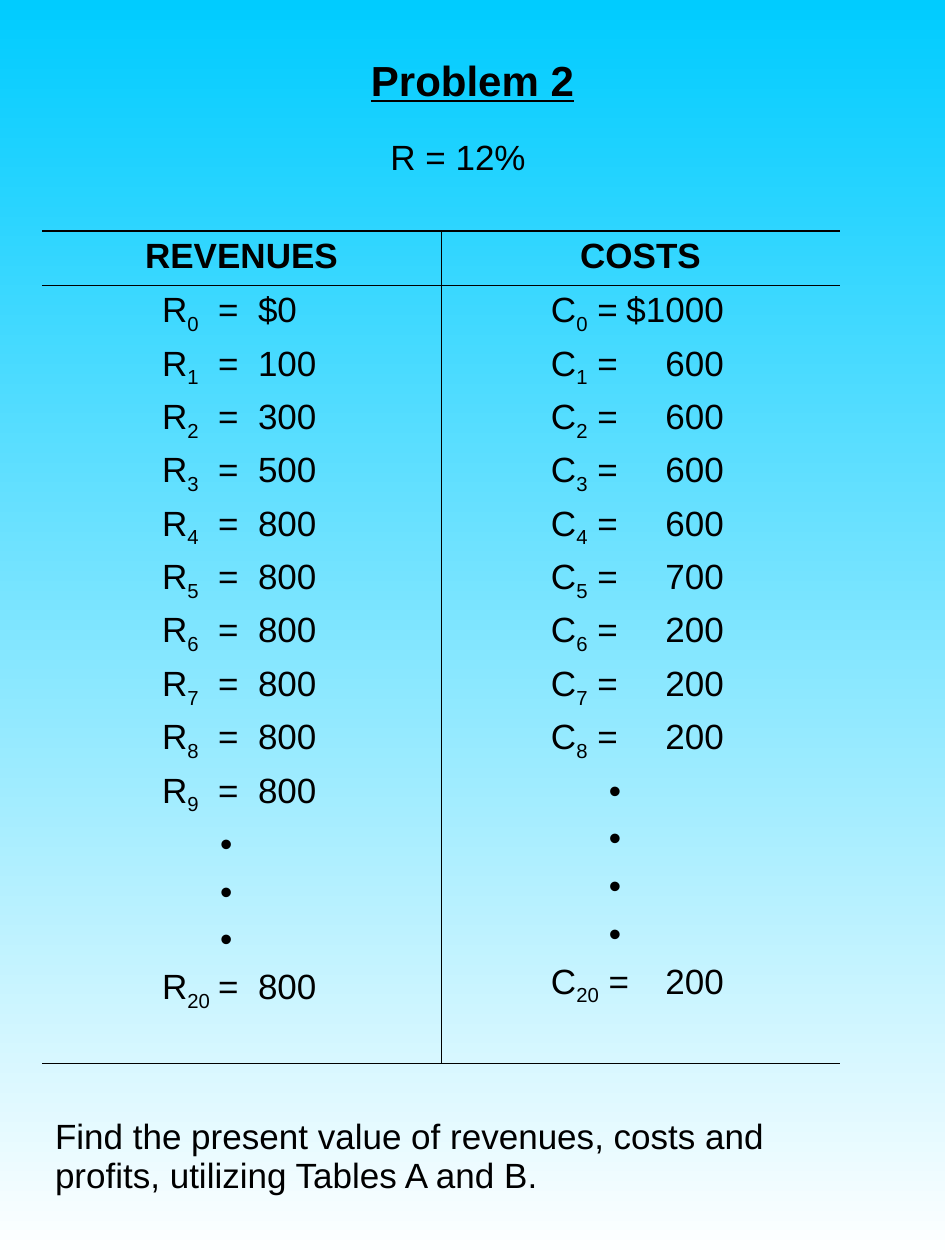
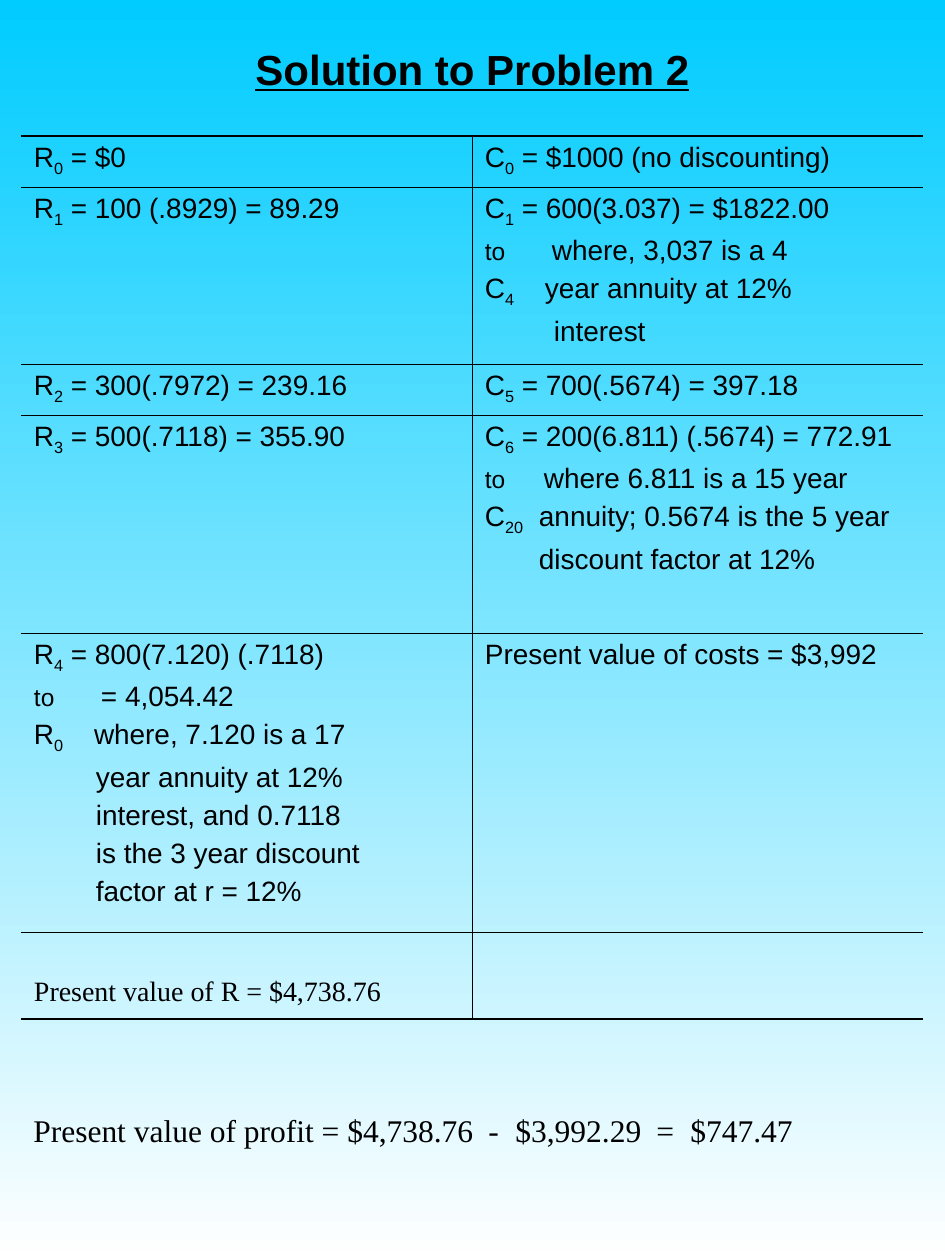
from dataclasses import dataclass

from lxml.etree import SubElement
from pptx import Presentation
from pptx.dml.color import RGBColor
from pptx.enum.text import MSO_ANCHOR, PP_ALIGN
from pptx.oxml.ns import qn
from pptx.util import Emu, Pt

PX_PER_INCH = 126
SLIDE_WIDTH, SLIDE_HEIGHT = 945, 1260
COLORS = {"sky": "00CCFF", "white": "FFFFFF", "ink": "000000"}
SANS, SERIF = "Arial", "Times New Roman"
THIN, HEAVY, NO_LINE = 0.45, 1.08, 0
INSET_X, INSET_Y = 13, 6
TITLE_FORMAT = {"size": Pt(24), "bold": True, "underline": True}


def px(length: int) -> Emu:
    return Emu(round(length * 914400 / PX_PER_INCH))


@dataclass
class Line:
    """A paragraph: optional symbol, its subscript, then the text."""
    text: str
    symbol: str = ""
    subscript: str = ""
    tabs: tuple = ()  # (position in px, "l" or "r")
    indent: int = 0
    font: str = SANS
    bold: bool = False
    centered: bool = False
    symbol_size: int = 0


@dataclass
class Cell:
    lines: list
    left: int = INSET_X
    top: int = INSET_Y


@dataclass
class Grid:
    left: int
    top: int
    column_width: int
    row_heights: list
    edges: list  # widths of the horizontal rules, top to bottom
    rows: list
    size: int
    gap: int


# Text
def add_run(paragraph, text: str, formats: dict, subscript: bool = False) -> None:
    run = paragraph.add_run()
    run.text = text
    for name, value in formats.items():
        setattr(run.font, name, value)
    run.font.color.rgb = RGBColor.from_string(COLORS["ink"])
    if subscript:
        run._r.get_or_add_rPr().set("baseline", "-25000")


def write_line(paragraph, line: Line, formats: dict) -> None:
    properties = paragraph._p.get_or_add_pPr()
    if line.indent:
        properties.set("marL", str(px(line.indent)))
        properties.set("indent", "0")
    if line.tabs:
        tab_list = SubElement(properties, qn("a:tabLst"))
        for position, alignment in line.tabs:
            SubElement(tab_list, qn("a:tab"), pos=str(px(position)), algn=alignment)
    if line.centered:
        paragraph.alignment = PP_ALIGN.CENTER
    formats = {"name": line.font, "bold": line.bold} | formats
    if line.symbol:
        size = Pt(line.symbol_size) if line.symbol_size else formats["size"]
        add_run(paragraph, line.symbol, formats | {"size": size})
    if line.subscript:
        add_run(paragraph, line.subscript, formats, subscript=True)
    add_run(paragraph, line.text, formats)


def add_text(slide, left: int, top: int, width: int, height: int, line: Line,
             formats: dict, anchor=MSO_ANCHOR.TOP) -> None:
    shape = slide.shapes.add_textbox(px(left), px(top), px(width), px(height))
    frame = shape.text_frame
    frame.word_wrap = True
    frame.vertical_anchor = anchor
    write_line(frame.paragraphs[0], line, formats)


# Table
def set_borders(cell, widths: dict) -> None:
    properties = cell._tc.get_or_add_tcPr()
    for side in ("lnL", "lnR", "lnT", "lnB"):
        width = widths.get(side, NO_LINE)
        border = SubElement(properties, qn(f"a:{side}"), w=str(Pt(width)))
        if width:
            fill = SubElement(border, qn("a:solidFill"))
            SubElement(fill, qn("a:srgbClr"), val=COLORS["ink"])
        else:
            SubElement(border, qn("a:noFill"))
    cell.fill.background()


def fill_cell(cell, content: Cell, size: int, gap: int) -> None:
    margins = {"margin_left": content.left, "margin_top": content.top,
               "margin_right": INSET_X, "margin_bottom": INSET_Y}
    for name, value in margins.items():
        setattr(cell, name, px(value))
    frame = cell.text_frame
    for index, line in enumerate(content.lines):
        paragraph = frame.add_paragraph() if index else frame.paragraphs[0]
        write_line(paragraph, line, {"size": Pt(size)})
        if index:
            paragraph.space_before = Pt(gap)


def add_grid(slide, grid: Grid) -> None:
    frame = slide.shapes.add_table(
        len(grid.rows), 2, px(grid.left), px(grid.top),
        px(2 * grid.column_width), px(sum(grid.row_heights)))
    table = frame.table
    table.first_row = table.horz_banding = False
    for column in table.columns:
        column.width = px(grid.column_width)
    for index, contents in enumerate(grid.rows):
        table.rows[index].height = px(grid.row_heights[index])
        merged = len(contents) == 1
        if merged:
            table.cell(index, 0).merge(table.cell(index, 1))
        for side, inner in enumerate(("lnR", "lnL")):
            cell = table.cell(index, side)
            set_borders(cell, {"lnT": grid.edges[index], "lnB": grid.edges[index + 1],
                               inner: NO_LINE if merged else THIN})
            if side < len(contents):
                fill_cell(cell, contents[side], grid.size, grid.gap)


# Shared slide frame
def add_slide(presentation, title: str, title_height: int):
    slide = presentation.slides.add_slide(presentation.slide_layouts[6])
    fill = slide.background.fill
    fill.gradient()
    fill.gradient_angle = 270
    for stop, name in zip(fill.gradient_stops, ("sky", "white")):
        stop.color.rgb = RGBColor.from_string(COLORS[name])
    add_text(slide, 71, 32, 803, title_height, Line(title, centered=True),
             TITLE_FORMAT, MSO_ANCHOR.MIDDLE)
    return slide


# Slide 1: the cash flows
def add_problem(presentation) -> None:
    slide = add_slide(presentation, "Problem 2", 95)
    dot = Line("•", indent=58)
    revenue_tabs = ((56, "l"), (96, "l"))
    cost_tabs = ((173, "r"),)

    def revenue(year: int, amount: str) -> Line:
        return Line(f"\t=\t{amount}", "R", str(year), revenue_tabs)

    def cost(year: int, amount: str) -> Line:
        return Line(f" =\t{amount}", "C", str(year), cost_tabs)

    revenues = ["$0", "100", "300", "500"] + ["800"] * 6
    costs = ["$1000"] + ["600"] * 4 + ["700"] + ["200"] * 3
    revenue_lines = [revenue(*item) for item in enumerate(revenues)]
    cost_lines = [cost(*item) for item in enumerate(costs)]
    question = ("Find the present value of revenues, costs and profits, "
                "utilizing Tables A and B.")
    add_grid(slide, Grid(
        42, 231, 399, [54, 778, 147], [HEAVY, THIN, THIN, NO_LINE],
        [[Cell([Line(name, bold=True, centered=True)]) for name in ("REVENUES", "COSTS")],
         [Cell(revenue_lines + [dot] * 3 + [revenue(20, "800")], left=120),
          Cell(cost_lines + [dot] * 4 + [cost(20, "200")], left=110)],
         [Cell([Line(question)], top=55)]],
        size=20, gap=5))
    add_text(slide, 378, 129, 242, 55, Line("R = 12%"), {"size": Pt(20)})


# Slide 2: the discounted values
def add_solution(presentation) -> None:
    slide = add_slide(presentation, "Solution to Problem 2", 73)

    def to(text: str, tab: int) -> Line:
        return Line(f"\t{text}", "to", tabs=((tab, "l"),), symbol_size=14)

    def until(symbol: str, year: str, text: str, tab: int) -> Line:
        return Line(f"\t{text}", symbol, year, ((tab, "l"),))

    early_costs = [Line(" = 600(3.037) = $1822.00", "C", "1"),
                   to("where, 3,037 is a 4", 67),
                   until("C", "4", "year annuity at 12%", 60),
                   Line("interest", indent=69)]
    late_costs = [Line(" = 200(6.811) (.5674) = 772.91", "C", "6"),
                  to("where 6.811 is a 15 year", 59),
                  until("C", "20", "annuity; 0.5674 is the 5 year", 54),
                  Line("discount factor at 12%", indent=54)]
    late_revenues = [Line(" = 800(7.120) (.7118)", "R", "4"),
                     to("= 4,054.42", 67),
                     until("R", "0", "where, 7.120 is a 17", 60)]
    late_revenues += [Line(text, indent=62) for text in (
        "year annuity at 12%", "interest, and 0.7118",
        "is the 3 year discount", "factor at r = 12%")]
    revenue_total = Line("Present value of R = $4,738.76", font=SERIF)
    add_grid(slide, Grid(
        21, 136, 451, [51, 177, 51, 218, 299, 87], [HEAVY] + [THIN] * 5 + [HEAVY],
        [[Cell([Line(" = $0", "R", "0")]),
          Cell([Line(" = $1000 (no discounting)", "C", "0")])],
         [Cell([Line(" = 100 (.8929) = 89.29", "R", "1")]), Cell(early_costs)],
         [Cell([Line(" = 300(.7972) = 239.16", "R", "2")]),
          Cell([Line(" = 700(.5674) = 397.18", "C", "5")])],
         [Cell([Line(" = 500(.7118) = 355.90", "R", "3")]), Cell(late_costs)],
         [Cell(late_revenues), Cell([Line("Present value of costs = $3,992")])],
         [Cell([revenue_total], top=45), Cell([])]],
        size=16, gap=4))
    profit_tabs = tuple((position, "l") for position in (455, 482, 623, 657))
    profit = Line("Present value of profit = $4,738.76\t-\t$3,992.29\t=\t$747.47",
                  tabs=profit_tabs, font=SERIF)
    add_text(slide, 21, 1105, 924, 50, profit, {"size": Pt(18)})


def main() -> None:
    presentation = Presentation()
    presentation.slide_width = px(SLIDE_WIDTH)
    presentation.slide_height = px(SLIDE_HEIGHT)
    add_problem(presentation)
    add_solution(presentation)
    presentation.save("out.pptx")


if __name__ == "__main__":
    main()
